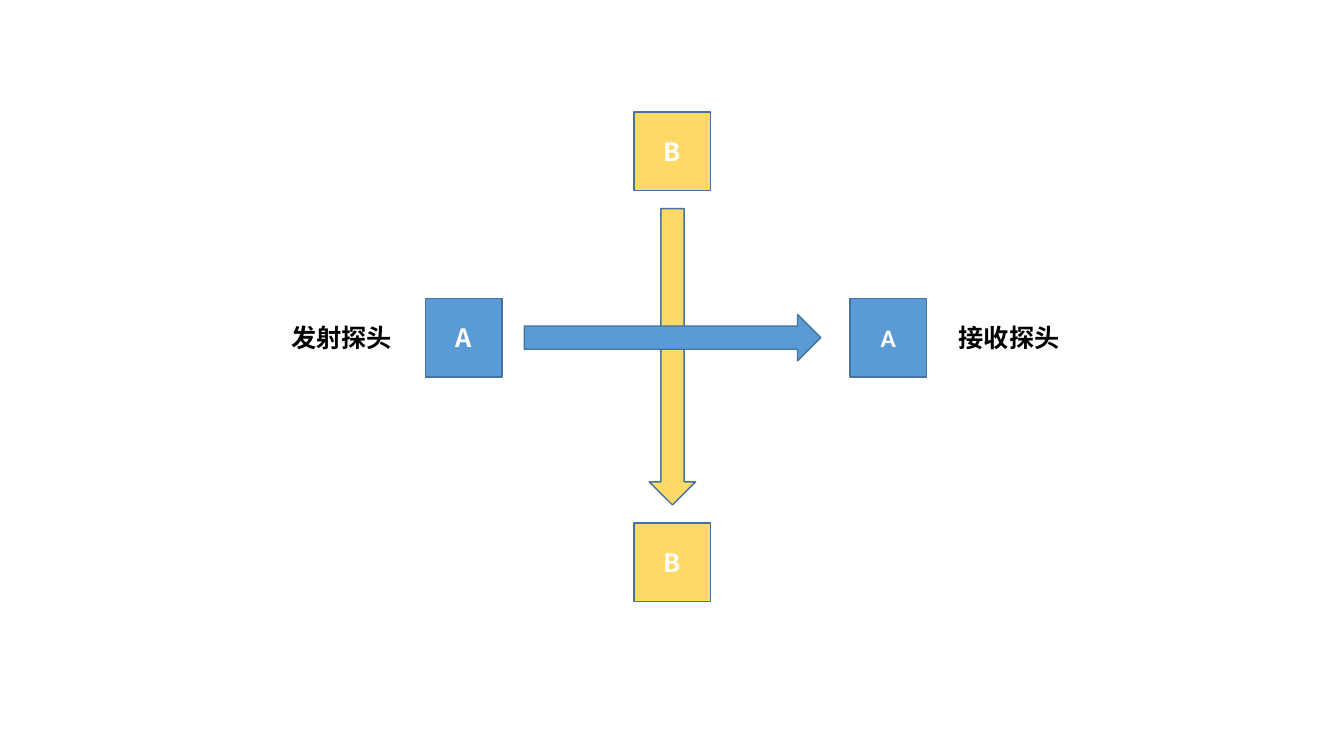
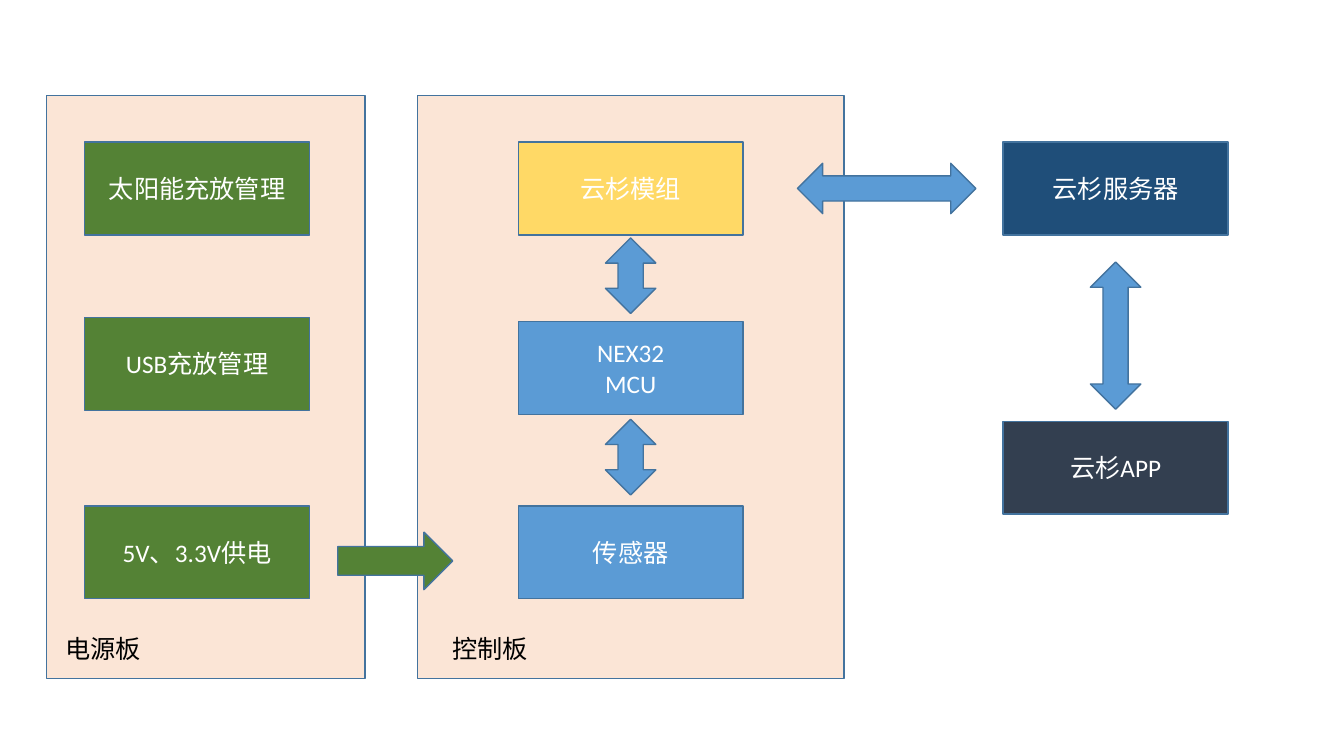
from collections import namedtuple

from lxml import etree
from pptx import Presentation
from pptx.dml.color import RGBColor
from pptx.enum import shapes, text
from pptx.oxml import ns
from pptx.util import Inches, Pt

# Shared style
BLUE = RGBColor(0x5B, 0x9B, 0xD5)
YELLOW = RGBColor(0xFF, 0xD9, 0x66)
GREEN = RGBColor(0x54, 0x82, 0x35)
PEACH = RGBColor(0xFB, 0xE5, 0xD6)
NAVY = RGBColor(0x1F, 0x4E, 0x79)
SLATE = RGBColor(0x33, 0x3F, 0x50)
OUTLINE = RGBColor(0x43, 0x73, 0x9E)
WHITE = RGBColor(0xFF, 0xFF, 0xFF)
BLACK = RGBColor(0, 0, 0)
LATIN_FONT = "Calibri"
CHINESE_FONT = "Noto Sans CJK SC"

KIND = shapes.MSO_SHAPE
Box = namedtuple("Box", "left top width height")


def inside(box, left, top, width, height):
    """Return a box placed relative to the corner of another one."""
    return Box(box.left + left, box.top + top, width, height)


def style_paragraphs(frame, color, font, bold, align):
    for paragraph in frame.paragraphs:
        paragraph.alignment = align
        paragraph.font.size = Pt(18)
        paragraph.font.bold = bold
        paragraph.font.color.rgb = color
        paragraph.font.name = font
        if font == CHINESE_FONT:
            properties = paragraph.font._element
            etree.SubElement(properties, ns.qn("a:ea"), typeface=font)


def add_block(slide, kind, box, fill, words="", font=LATIN_FONT, bold=False):
    shape = slide.shapes.add_shape(kind, *map(Inches, box))
    shape.shadow.inherit = False
    shape.fill.solid()
    shape.fill.fore_color.rgb = fill
    shape.line.color.rgb = OUTLINE
    shape.line.width = Pt(1)
    if words:
        frame = shape.text_frame
        frame.text = words
        frame.vertical_anchor = text.MSO_ANCHOR.MIDDLE
        style_paragraphs(frame, WHITE, font, bold, text.PP_ALIGN.CENTER)


def add_label(slide, box, words, font=LATIN_FONT, bold=False):
    frame = slide.shapes.add_textbox(*map(Inches, box)).text_frame
    frame.word_wrap = False
    frame.auto_size = text.MSO_AUTO_SIZE.SHAPE_TO_FIT_TEXT
    frame.text = words
    style_paragraphs(frame, BLACK, font, bold, text.PP_ALIGN.LEFT)


# Slide 1: crossing probe pairs
def draw_probes(slide, box):
    probes = [
        (1.43, 1.85, BLUE, "A", CHINESE_FONT),
        (5.64, 1.85, BLUE, "A", LATIN_FONT),
        (3.5, 4.08, YELLOW, "B", CHINESE_FONT),
        (3.5, 0, YELLOW, "B", CHINESE_FONT),
    ]
    for left, top, fill, name, font in probes:
        add_block(slide, KIND.RECTANGLE, inside(box, left, top, 0.76, 0.78),
                  fill, name, font, True)

    length, thickness = 2.94, 0.46
    add_block(slide, KIND.DOWN_ARROW,
              inside(box, 3.65, 0.96, thickness, length), YELLOW)
    add_block(slide, KIND.RIGHT_ARROW,
              inside(box, 2.41, 2.01, length, thickness), BLUE)

    for left, words in ((6.62, "接收探头"), (0, "发射探头")):
        add_label(slide, inside(box, left, 2.04, 1.2, 0.4), words,
                  CHINESE_FONT, True)


# Slide 2: boards, server and app
MODULE_WIDTH, MODULE_HEIGHT = 2.23, 0.92
ARROW_THICKNESS = 0.5


def draw_modules(slide, box, modules):
    """Stack modules in a column; each has its top, fill and words."""
    for top, fill, words in modules:
        add_block(slide, KIND.RECTANGLE,
                  inside(box, 0, top, MODULE_WIDTH, MODULE_HEIGHT), fill, words)


def draw_vertical_links(slide, box, links):
    """Centre two-way arrows on a column; each has its top and length."""
    left = (MODULE_WIDTH - ARROW_THICKNESS) / 2
    for top, length in links:
        add_block(slide, KIND.UP_DOWN_ARROW,
                  inside(box, left, top, ARROW_THICKNESS, length), BLUE)


def draw_board(slide, box, column_left, modules, name, name_left):
    add_block(slide, KIND.RECTANGLE, box, PEACH)
    column = inside(box, column_left, 0.46, MODULE_WIDTH, 4.53)
    draw_modules(slide, column, modules)
    add_label(slide, inside(box, name_left, 5.28, 0.95, 0.4), name)
    return column


def draw_system(slide, box):
    # Power board
    draw_board(slide, inside(box, 0, 0, 3.16, box.height), 0.38, [
        (0, GREEN, "太阳能充放管理"),
        (1.74, GREEN, "USB充放管理"),
        (3.61, GREEN, "5V、3.3V供电"),
    ], "电源板", 0.09)

    # Control board
    control = draw_board(slide, inside(box, 3.68, 0, 4.23, box.height), 1, [
        (0, YELLOW, "云杉模组"),
        (1.78, BLUE, "NEX32\nMCU"),
        (3.61, BLUE, "传感器"),
    ], "控制板", 0.25)
    draw_vertical_links(slide, control, [(0.95, 0.75), (2.75, 0.75)])

    # Server and app
    cloud = inside(box, 9.49, 0.46, MODULE_WIDTH, 3.69)
    draw_modules(slide, cloud, [
        (0, NAVY, "云杉服务器"),
        (2.77, SLATE, "云杉APP"),
    ])
    draw_vertical_links(slide, cloud, [(1.19, 1.46)])

    # Links between regions
    add_block(slide, KIND.LEFT_RIGHT_ARROW,
              inside(box, 7.45, 0.67, 1.77, ARROW_THICKNESS), BLUE)
    add_block(slide, KIND.RIGHT_ARROW,
              inside(box, 2.89, 4.33, 1.14, 0.57), GREEN)


def main():
    presentation = Presentation()
    presentation.slide_width = Inches(13.33)
    presentation.slide_height = Inches(7.5)
    pages = [
        (draw_probes, Box(2.79, 1.11, 7.82, 4.86)),
        (draw_system, Box(0.46, 0.95, 11.72, 5.78)),
    ]
    for draw, box in pages:
        draw(presentation.slides.add_slide(presentation.slide_layouts[6]), box)
    presentation.save("out.pptx")


main()
